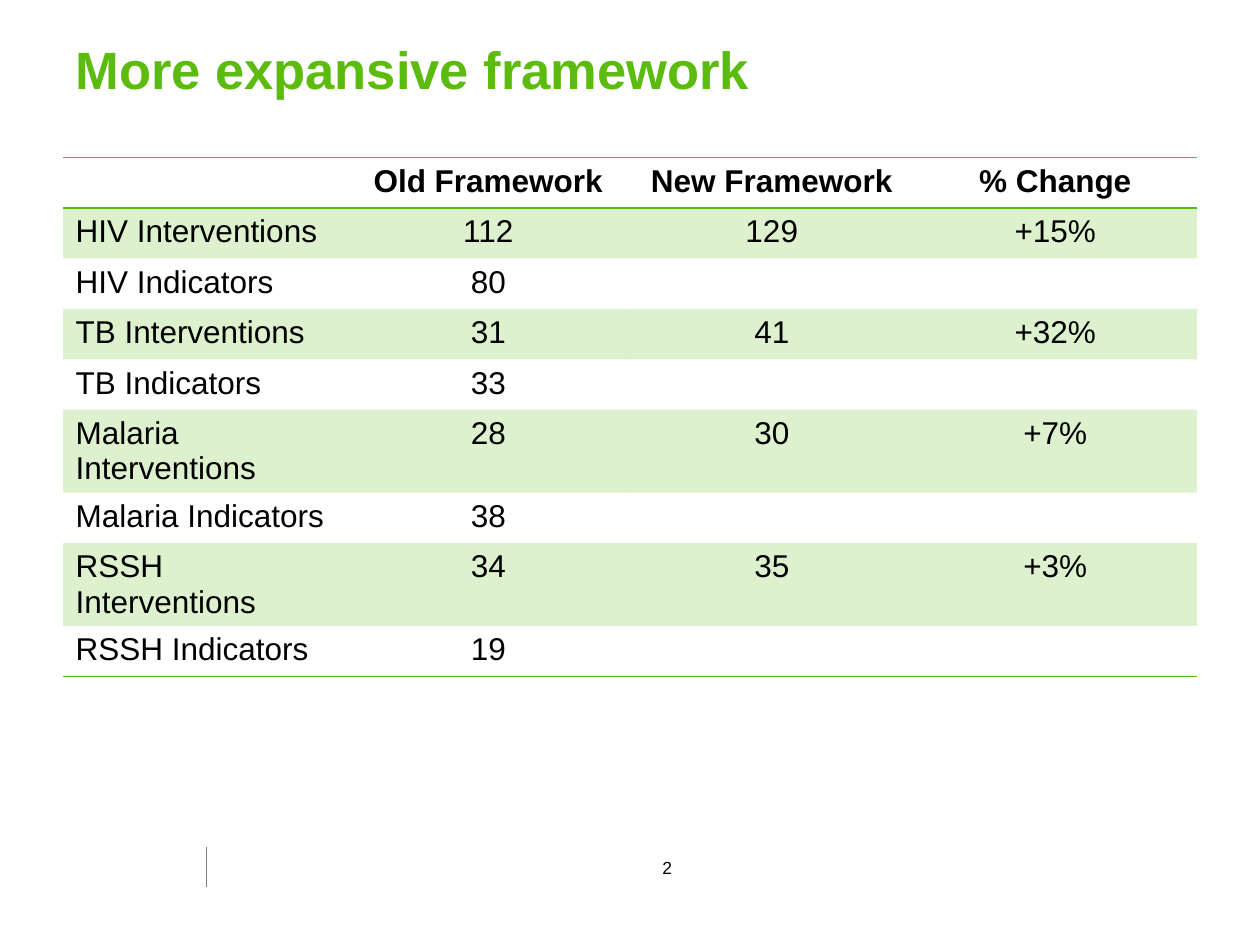
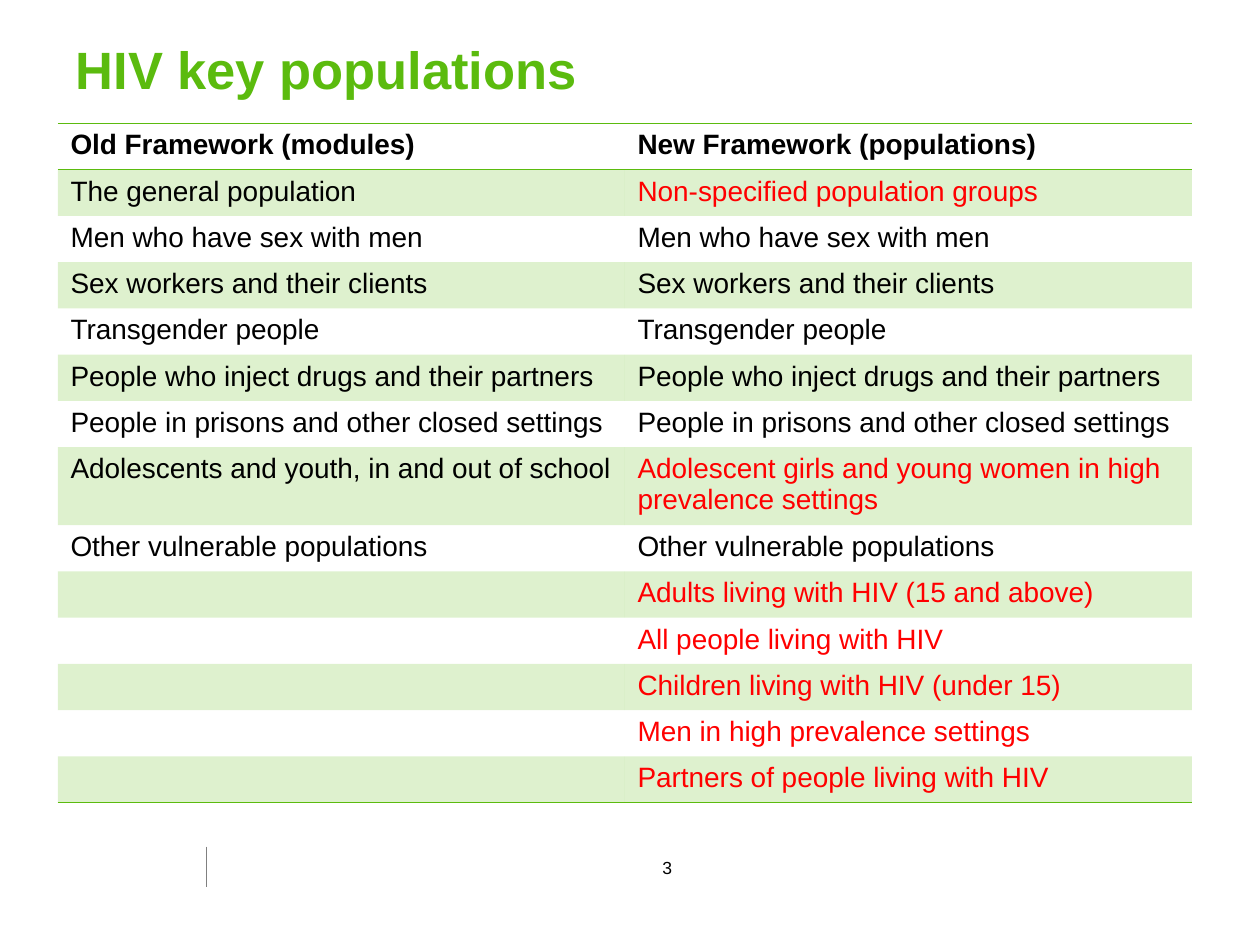
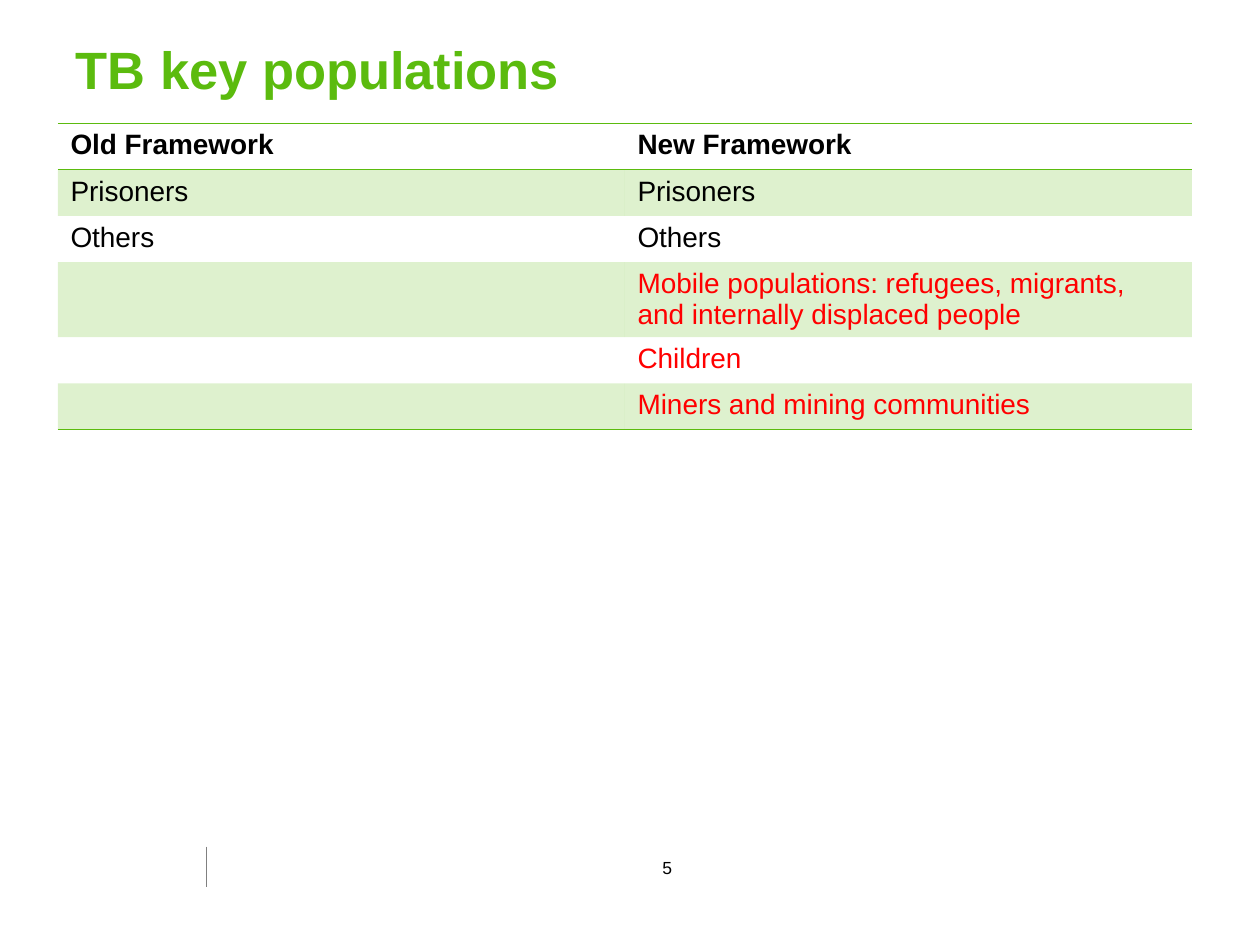
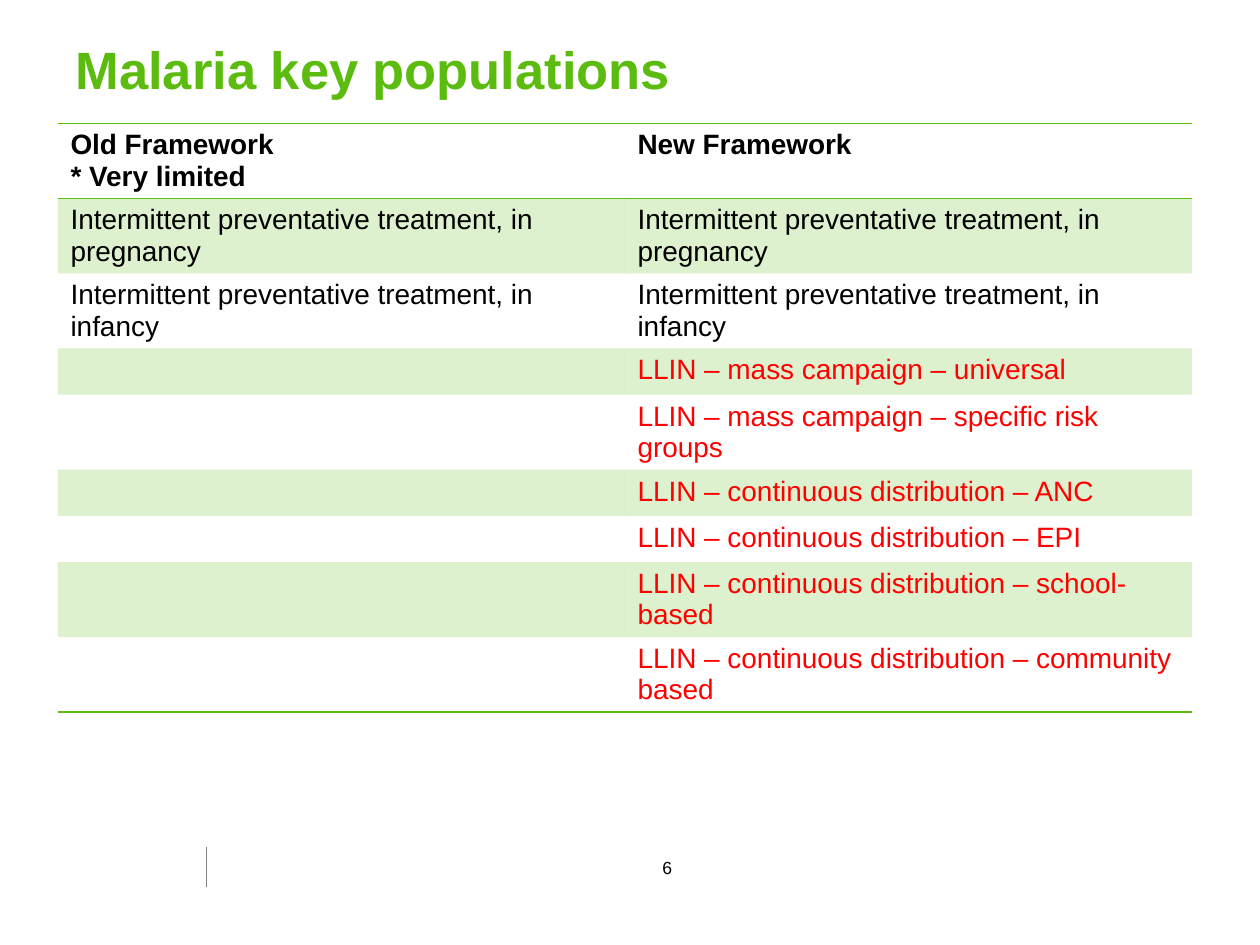
from lxml.etree import SubElement as Sub, Element
from pptx import Presentation
from pptx.dml.color import RGBColor as Rgb
from pptx.enum.shapes import MSO_CONNECTOR as Conn
from pptx.enum.text import MSO_ANCHOR as Anchor, MSO_AUTO_SIZE as Auto, PP_ALIGN as Align
from pptx.oxml.ns import qn
from pptx.util import Inches, Pt

# Shared look
HUES = {"green": "5BBB0E", "black": "000000", "red": "FF0000", "grey": "808080"}
FONT = "Arial"
PLAIN = "{2D5ABB26-0587-4C30-8999-92F81FD0307C}"  # no style, no grid
PAD = 7.2  # points above and below the text of a cell


def put(frame, text, size=16, hue="black", bold=False, align=Align.LEFT):
    """Write text, one paragraph per line, in the given format."""
    frame.text = text
    for par in frame.paragraphs:
        par.alignment = align
        for run in par.runs:
            font = run.font
            font.name, font.size, font.bold = FONT, Pt(size), bold
            font.color.rgb = Rgb.from_string(HUES[hue])
        if not par.runs:
            Sub(par._p, qn("a:endParaRPr"), sz=str(size * 100))


def rule(cell, sides):
    """Draw green one-point borders on the sides, given in schema order."""
    for spot, side in enumerate(sides):
        line = Element(qn("a:ln" + side), w=str(Pt(1)))
        fill = Sub(line, qn("a:solidFill"))
        Sub(fill, qn("a:srgbClr"), val=HUES["green"])
        cell._tc.get_or_add_tcPr().insert(spot, line)


# Slide content; "wrap" lists the rows that take two lines
SAME = [
    "Men who have sex with men",
    "Sex workers and their clients",
    "Transgender people",
    "People who inject drugs and their partners",
    "People in prisons and other closed settings",
]
TREAT = "Intermittent preventative treatment, in "
NET = "LLIN – "
GIVE = NET + "continuous distribution – "

PAGES = [
    {"num": 2, "title": "More expansive framework", "left": 0.5, "top": 1.25,
     "size": 18, "count": True, "wrap": [5, 7], "rows": [
         ("", "Old Framework", "New Framework", "% Change"),
         ("HIV Interventions", "112", "129", "+15%"),
         ("HIV Indicators", "80", "", ""),
         ("TB Interventions", "31", "41", "+32%"),
         ("TB Indicators", "33", "", ""),
         ("Malaria Interventions", "28", "30", "+7%"),
         ("Malaria Indicators", "38", "", ""),
         ("RSSH Interventions", "34", "35", "+3%"),
         ("RSSH Indicators", "19", "", "")]},
    {"num": 3, "title": "HIV key populations", "wrap": [7], "tall": 0.62, "rows": [
        ("Old Framework (modules)", "New Framework (populations)"),
        ("The general population", "Non-specified population groups"),
        *[(name, name) for name in SAME],
        ("Adolescents and youth, in and out of school",
         "Adolescent girls and young women in high prevalence settings"),
        ("Other vulnerable populations", "Other vulnerable populations"),
        ("", "Adults living with HIV (15 and above)"),
        ("", "All people living with HIV"),
        ("", "Children living with HIV (under 15)"),
        ("", "Men in high prevalence settings"),
        ("", "Partners of people living with HIV")]},
    {"num": 5, "title": "TB key populations", "wrap": [3], "rows": [
        ("Old Framework", "New Framework"),
        ("Prisoners", "Prisoners"),
        ("Others", "Others"),
        ("", "Mobile populations: refugees, migrants, "
             "and internally displaced people"),
        ("", "Children"),
        ("", "Miners and mining communities")]},
    {"num": 6, "title": "Malaria key populations", "wrap": [0, 1, 2, 4, 7, 8], "rows": [
        ("Old Framework\n* Very limited", "New Framework"),
        (TREAT + "pregnancy", TREAT + "pregnancy"),
        (TREAT + "infancy", TREAT + "infancy"),
        ("", NET + "mass campaign – universal"),
        ("", NET + "mass campaign – specific risk groups"),
        ("", GIVE + "ANC"),
        ("", GIVE + "EPI"),
        ("", GIVE + "school-based"),
        ("", GIVE + "community based")]},
]

deck = Presentation()
deck.slide_width, deck.slide_height = Inches(10), Inches(7.5)

for page in PAGES:
    slide = deck.slides.add_slide(deck.slide_layouts[5])

    # Title
    head = slide.shapes.title
    head.left, head.top = Inches(0.5), Inches(0.24)
    head.width, head.height = Inches(8.96), Inches(0.61)
    put(head.text_frame, page["title"], size=30, hue="green", bold=True)
    head.text_frame.vertical_anchor = Anchor.MIDDLE
    head.text_frame.auto_size = Auto.SHAPE_TO_FIT_TEXT

    # Footer line and page number
    bar = slide.shapes.add_connector(
        Conn.STRAIGHT, Inches(1.64), Inches(6.72), Inches(1.64), Inches(7.04))
    bar.line.color.rgb = Rgb.from_string(HUES["grey"])
    bar.line.width = Pt(0.25)
    Sub(bar._element.spPr, qn("a:effectLst"))
    box = slide.shapes.add_textbox(
        Inches(5.11), Inches(6.75), Inches(0.37), Inches(0.27))
    put(box.text_frame, str(page["num"]), size=10, align=Align.CENTER)
    box.text_frame.word_wrap = False
    box.text_frame.auto_size = Auto.SHAPE_TO_FIT_TEXT

    # Row heights follow from the text size
    rows, wrap = page["rows"], page["wrap"]
    size = page.get("size", 16)
    count = page.get("count", False)
    low = (1.2 * size + PAD) / 72
    tall = page.get("tall", (2.23 * size + PAD) / 72)
    highs = [tall if r in wrap else low for r in range(len(rows))]

    # Table frame
    grid = slide.shapes.add_table(
        len(rows), len(rows[0]), Inches(page.get("left", 0.46)),
        Inches(page.get("top", 0.98)), Inches(9), Inches(sum(highs))).table
    grid._tbl.tblPr.find(qn("a:tableStyleId")).text = PLAIN
    for row, high in zip(grid.rows, highs):
        row.height = Inches(high)

    # Cells: what is new beside the old framework is red
    for r, row in enumerate(rows):
        for c, text in enumerate(row):
            cell = grid.cell(r, c)
            new = r > 0 and c == 1 and not count and text != row[0]
            put(cell.text_frame, text, size=size,
                hue="red" if new else "black", bold=r == 0,
                align=Align.CENTER if count and c else Align.LEFT)
            if r in wrap:
                cell.margin_bottom = Inches(0)
            if r % 2:
                cell.fill.solid()
                cell.fill.fore_color.rgb = Rgb.from_string(HUES["green"])
                tint = cell._tc.tcPr.find(".//" + qn("a:srgbClr"))
                Sub(tint, qn("a:alpha"), val="20000")
            else:
                cell.fill.background()
            if r == 0:
                rule(cell, "TB")
            elif r == len(rows) - 1:
                rule(cell, "B")

deck.save("out.pptx")
